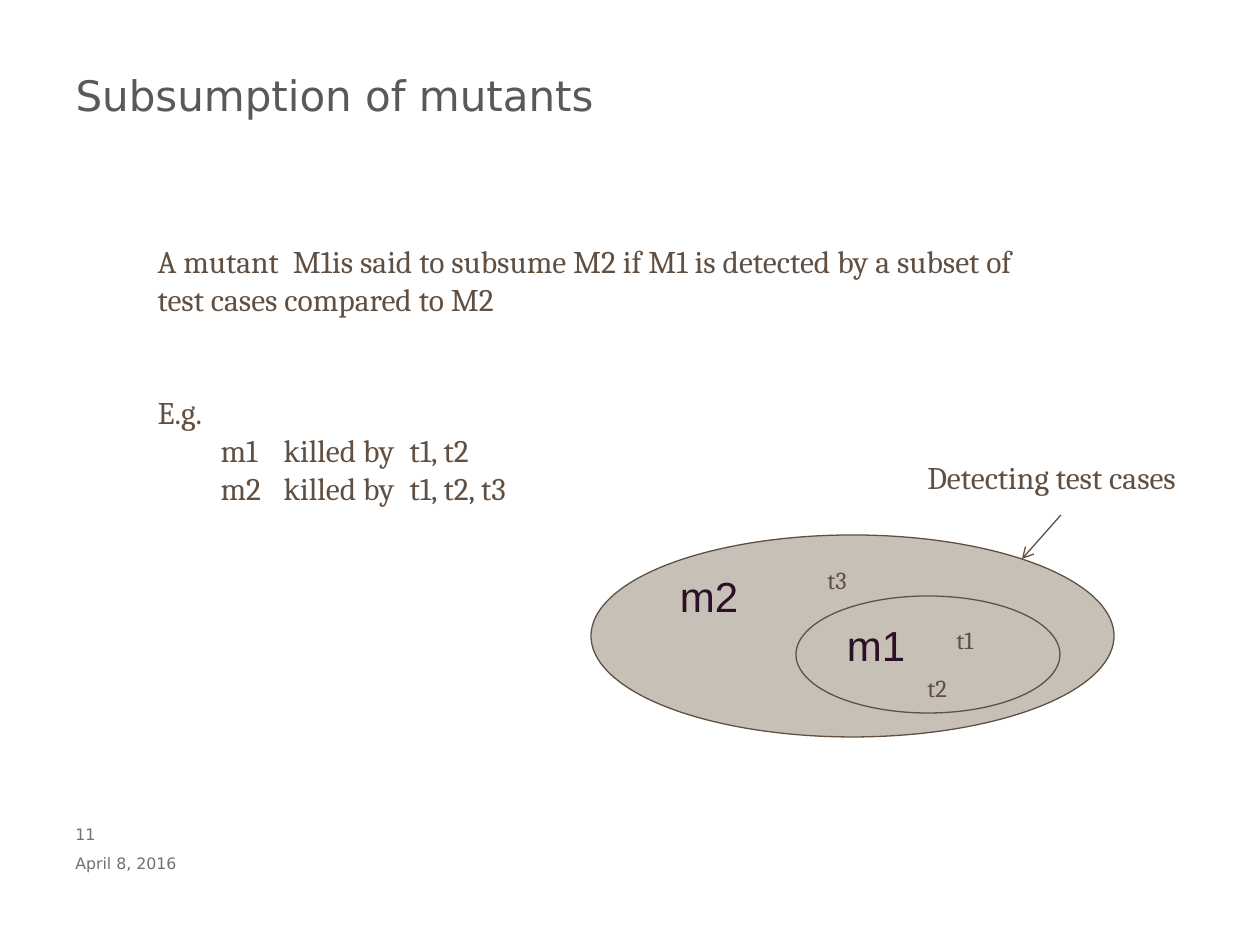
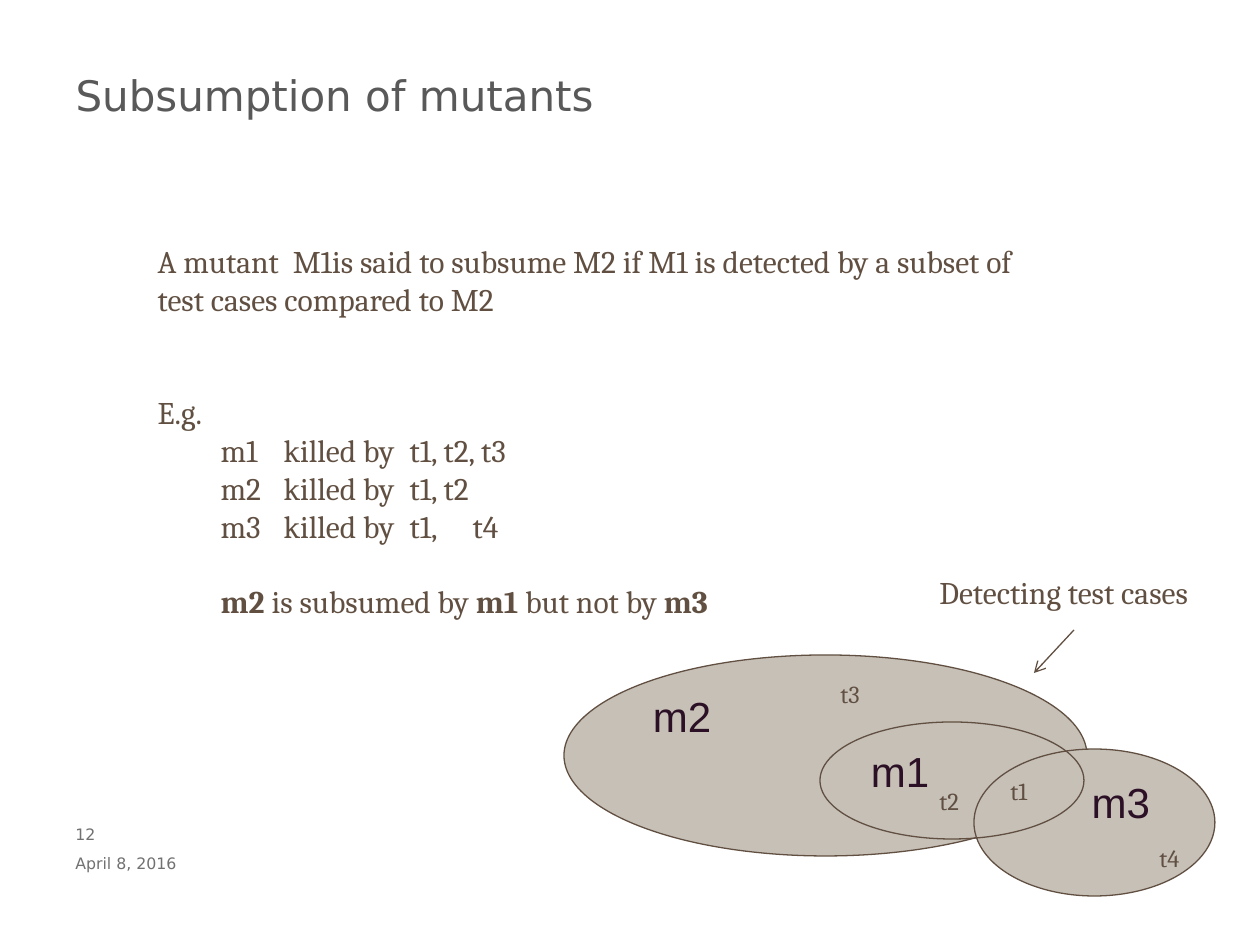
from dataclasses import dataclass

from lxml.etree import SubElement
from pptx import Presentation
from pptx.dml.color import RGBColor
from pptx.enum.shapes import MSO_CONNECTOR, MSO_SHAPE
from pptx.enum.text import MSO_ANCHOR, MSO_AUTO_SIZE, PP_ALIGN
from pptx.oxml.ns import qn
from pptx.util import Emu, Inches, Pt

PX = Inches(1) // 126


@dataclass(frozen=True)
class Theme:
    """Colours, fonts and type sizes of the deck."""
    title: str = "595959"
    footer: str = "717171"
    ink: str = "615042"
    set_name: str = "2B1026"
    set_fill: str = "C6C0B7"
    sans: str = "DejaVu Sans"
    serif: str = "Cambria"
    set_font: str = "Arial"
    title_size: int = 24
    set_size: int = 24
    body_size: int = 18
    case_size: int = 14
    footer_size: int = 9
    line_width: float = 0.75


THEME = Theme()
BODY_LINE = 21.5  # height of one body line in points
TAB_STOPS = (83, 170, 309, 420)


@dataclass(frozen=True)
class Box:
    left: int
    top: int
    width: int
    height: int


@dataclass(frozen=True)
class MutantSet:
    name: str
    box: Box
    filled: bool = True
    indent: int = 0


@dataclass(frozen=True)
class Label:
    text: str
    left: int
    top: int
    width: int = 47
    height: int = 43
    size: int = THEME.case_size


@dataclass(frozen=True)
class Arrow:
    start: tuple[int, int]
    end: tuple[int, int]


@dataclass(frozen=True)
class BodyLine:
    """Spans alternate between regular and bold; gap counts lines above."""
    spans: tuple[str, ...]
    gap: int = 0


@dataclass(frozen=True)
class Page:
    number: int
    body_height: int
    examples: tuple[BodyLine, ...]
    diagram: tuple[MutantSet | Label | Arrow, ...]


# Shared wording
TITLE = "Subsumption of mutants"
DATE = "April 8, 2016"
DEFINITION = (
    BodyLine(("A mutant  M1is said to subsume M2 if M1 is detected by a subset of  "
              "test cases compared to M2",)),
    BodyLine(("E.g.",), gap=2),
)


def killed(mutant: str, *cases: str) -> BodyLine:
    return BodyLine(("\t".join(("", mutant, "killed by", *cases)),))


def caption(left: int, top: int) -> Label:
    return Label("Detecting test cases", left, top, 300, 50, THEME.body_size)


PAGES = (
    Page(
        11, 280,
        (killed("m1", "t1, t2"), killed("m2", "t1, t2, t3")),
        (
            MutantSet("m2", Box(591, 535, 523, 202)),
            MutantSet("m1", Box(796, 596, 264, 117)),
            Label("t1", 944, 619),
            Label("t2", 915, 667),
            Label("t3", 815, 559),
            caption(915, 452),
            Arrow((1061, 515), (1022, 559)),
        ),
    ),
    Page(
        12, 394,
        (
            killed("m1", "t1, t2, t3"),
            killed("m2", "t1, t2"),
            killed("m3", "t1,", "t4"),
            BodyLine(("\t", "m2", " is subsumed by ", "m1 ", "but not by ", "m3"), gap=1),
        ),
        (
            MutantSet("m2", Box(564, 655, 523, 201)),
            Label("t2", 927, 780),
            Label("t3", 828, 673),
            caption(927, 567),
            Arrow((1074, 630), (1034, 673)),
            MutantSet("m3", Box(974, 749, 241, 147), indent=70),
            Label("t4", 1147, 837),
            MutantSet("m1", Box(820, 722, 264, 117), filled=False),
            Label("t1", 998, 770),
        ),
    ),
)


def color(value: str) -> RGBColor:
    return RGBColor.from_string(value)


def place(shape, box: Box) -> None:
    shape.left, shape.top = Emu(box.left * PX), Emu(box.top * PX)
    shape.width, shape.height = Emu(box.width * PX), Emu(box.height * PX)


def add_span(para, text: str, *, font: str = THEME.serif, size: int = THEME.body_size,
             ink: str = THEME.ink, bold: bool = False) -> None:
    """Append one formatted run to a left-aligned paragraph."""
    para.alignment = PP_ALIGN.LEFT
    span = para.add_run()
    span.text = text
    span.font.name = font
    span.font.size = Pt(size)
    span.font.bold = bold
    span.font.color.rgb = color(ink)


def set_frame(frame, *, wrap: bool = True, anchor: MSO_ANCHOR = MSO_ANCHOR.TOP) -> None:
    frame.auto_size = MSO_AUTO_SIZE.NONE
    frame.word_wrap = wrap
    frame.vertical_anchor = anchor


def add_text_box(slide, text: str, box: Box, *, wrap: bool = True,
                 anchor: MSO_ANCHOR = MSO_ANCHOR.TOP, **style):
    shape = slide.shapes.add_textbox(0, 0, 0, 0)
    place(shape, box)
    set_frame(shape.text_frame, wrap=wrap, anchor=anchor)
    add_span(shape.text_frame.paragraphs[0], text, **style)
    return shape.text_frame


def add_title(slide) -> None:
    title = slide.shapes.title
    place(title, Box(63, 63, 1134, 94))
    set_frame(title.text_frame)
    add_span(title.text_frame.paragraphs[0], TITLE, font=THEME.sans,
             size=THEME.title_size, ink=THEME.title)


def add_footer(slide, number: int) -> None:
    for text, top, width, anchor in (
        (DATE, 851, 252, MSO_ANCHOR.MIDDLE),
        (str(number), 825, 50, MSO_ANCHOR.TOP),
    ):
        frame = add_text_box(slide, text, Box(63, top, width, 25), anchor=anchor,
                             font=THEME.sans, size=THEME.footer_size, ink=THEME.footer)
        frame.margin_top = frame.margin_bottom = frame.margin_right = 0


def clear_bullet(para) -> None:
    """Remove the list bullet and set the column tab stops."""
    properties = para._p.get_or_add_pPr()
    properties.set("marL", "0")
    properties.set("indent", "0")
    SubElement(properties, qn("a:buNone"))
    tabs = SubElement(properties, qn("a:tabLst"))
    for stop in TAB_STOPS:
        SubElement(tabs, qn("a:tab"), pos=str(stop * PX), algn="l")


def add_body(slide, page: Page) -> None:
    body = slide.placeholders[1]
    place(body, Box(145, 236, 916, page.body_height))
    frame = body.text_frame
    set_frame(frame)
    for index, line in enumerate(DEFINITION + page.examples):
        para = frame.add_paragraph() if index else frame.paragraphs[0]
        clear_bullet(para)
        para.space_before = Pt(line.gap * BODY_LINE)
        for position, text in enumerate(line.spans):
            add_span(para, text, bold=position % 2 == 1)


def add_mutant_set(slide, mutant: MutantSet) -> None:
    ellipse = slide.shapes.add_shape(MSO_SHAPE.OVAL, 0, 0, 0, 0)
    place(ellipse, mutant.box)
    ellipse.shadow.inherit = False
    if mutant.filled:
        ellipse.fill.solid()
        ellipse.fill.fore_color.rgb = color(THEME.set_fill)
    else:
        ellipse.fill.background()
    ellipse.line.color.rgb = color(THEME.ink)
    ellipse.line.width = Pt(THEME.line_width)
    set_frame(ellipse.text_frame)
    para = ellipse.text_frame.paragraphs[0]
    para._p.get_or_add_pPr().set("marL", str(mutant.indent * PX))
    add_span(para, mutant.name, font=THEME.set_font, size=THEME.set_size,
             ink=THEME.set_name)


def add_arrow(slide, arrow: Arrow) -> None:
    ends = [Emu(value * PX) for value in arrow.start + arrow.end]
    connector = slide.shapes.add_connector(MSO_CONNECTOR.STRAIGHT, *ends)
    connector.line.color.rgb = color(THEME.ink)
    connector.line.width = Pt(THEME.line_width)
    SubElement(connector.line._get_or_add_ln(), qn("a:tailEnd"), type="arrow")
    SubElement(connector._element.spPr, qn("a:effectLst"))


def add_diagram(slide, page: Page) -> None:
    for part in page.diagram:
        if isinstance(part, MutantSet):
            add_mutant_set(slide, part)
        elif isinstance(part, Arrow):
            add_arrow(slide, part)
        else:
            box = Box(part.left, part.top, part.width, part.height)
            add_text_box(slide, part.text, box, wrap=False, size=part.size)


def main() -> None:
    deck = Presentation()
    deck.slide_width, deck.slide_height = Inches(10), Inches(7.5)
    for page in PAGES:
        slide = deck.slides.add_slide(deck.slide_layouts[1])
        add_title(slide)
        add_footer(slide, page.number)
        add_body(slide, page)
        add_diagram(slide, page)
    deck.save("out.pptx")


if __name__ == "__main__":
    main()
